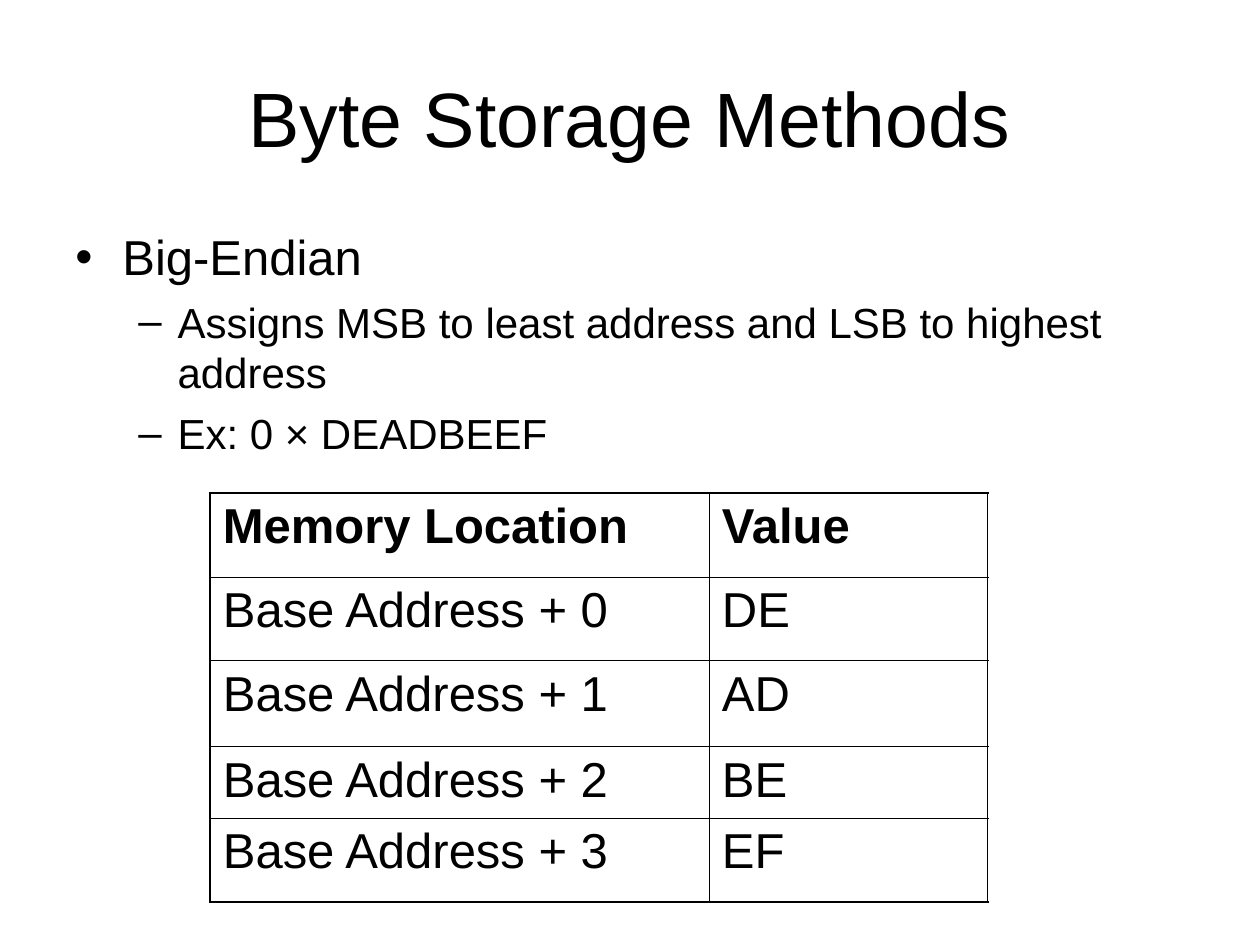
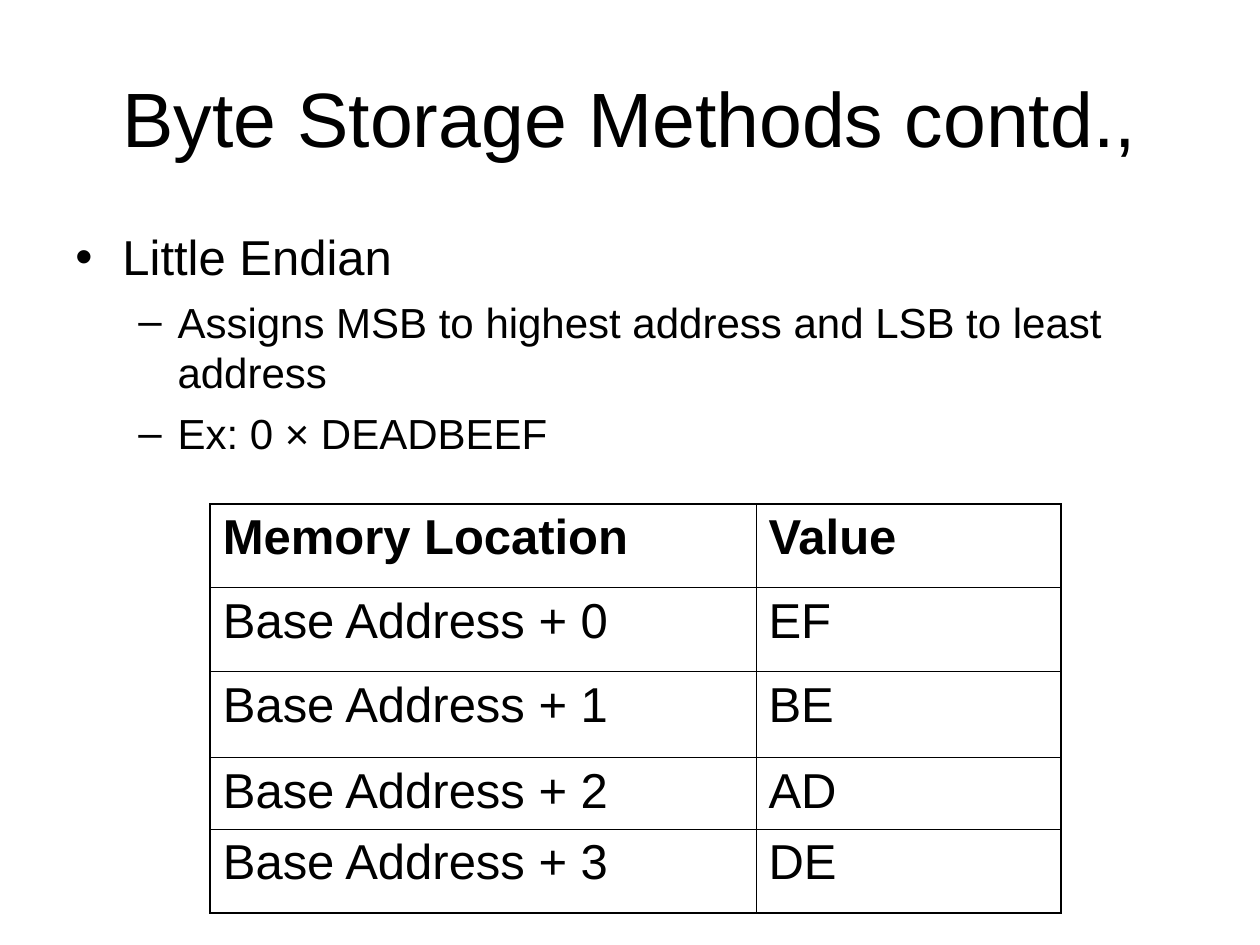
from lxml import etree
from pptx import Presentation
from pptx.dml.color import RGBColor
from pptx.enum.text import MSO_ANCHOR, PP_ALIGN
from pptx.oxml.ns import qn
from pptx.util import Cm, Pt

CENTER = PP_ALIGN.CENTER
MIDDLE = MSO_ANCHOR.MIDDLE

FONT = "Arial"
INK = "000000"
TITLE_SIZE = 44
TABLE_SIZE = 28
OUTER_LINE, INNER_LINE = 1.08, 0.45

# Lengths in centimetres
MARGIN, CONTENT_WIDTH = 1.27, 22.86
TITLE_TOP, TITLE_HEIGHT = 0.76, 3.18
BODY_TOP, BODY_HEIGHT = 4.45, 5.08
TABLE_LEFT = 4.24
ROW_HEIGHTS = [1.69, 1.69, 1.73, 1.44, 1.69]

LEVELS = [
    {"bullet": "•", "left": 0.95, "hanging": 0.95, "size": 28, "before": 0},
    {"bullet": "–", "left": 2.06, "hanging": 0.79, "size": 24, "before": 6},
]
HEADINGS = ("Memory Location", "Value")
EXAMPLE = "Ex: 0 × DEADBEEF"

BYTE_ORDERS = [
    {
        "title": "Byte Storage Methods",
        "points": [
            (0, "Big-Endian"),
            (1, "Assigns MSB to least address and LSB to highest address"),
            (1, EXAMPLE),
        ],
        "values": ["DE", "AD", "BE", "EF"],
        "table_top": 9.94,
        "column_widths": [10.06, 5.61],
    },
    {
        "title": "Byte Storage Methods contd.,",
        "points": [
            (0, "Little Endian"),
            (1, "Assigns MSB to highest address and LSB to least address"),
            (1, EXAMPLE),
        ],
        "values": ["EF", "BE", "AD", "DE"],
        "table_top": 10.16,
        "column_widths": [11, 6.15],
    },
]


def color(value):
    return RGBColor.from_string(value)


def add_run(paragraph, text, size, bold=False):
    run = paragraph.add_run()
    run.text = text
    run.font.name = FONT
    run.font.size = Pt(size)
    run.font.bold = bold
    run.font.color.rgb = color(INK)


def add_text_frame(slide, top, height):
    box = slide.shapes.add_textbox(
        Cm(MARGIN), Cm(top), Cm(CONTENT_WIDTH), Cm(height))
    box.text_frame.word_wrap = True
    return box.text_frame


def add_title(slide, text):
    frame = add_text_frame(slide, TITLE_TOP, TITLE_HEIGHT)
    frame.vertical_anchor = MIDDLE
    paragraph = frame.paragraphs[0]
    paragraph.alignment = CENTER
    add_run(paragraph, text, TITLE_SIZE)


def set_bullet(paragraph, level):
    properties = paragraph._p.get_or_add_pPr()
    properties.set("marL", str(Cm(level["left"])))
    properties.set("indent", str(-Cm(level["hanging"])))
    bullet_color = etree.SubElement(properties, qn("a:buClr"))
    etree.SubElement(bullet_color, qn("a:srgbClr"), val=INK)
    etree.SubElement(properties, qn("a:buFont"), typeface=FONT)
    etree.SubElement(properties, qn("a:buChar"), char=level["bullet"])


def add_points(slide, points):
    frame = add_text_frame(slide, BODY_TOP, BODY_HEIGHT)
    for index, (depth, text) in enumerate(points):
        paragraph = frame.add_paragraph() if index else frame.paragraphs[0]
        level = LEVELS[depth]
        paragraph.level = depth
        set_bullet(paragraph, level)
        if level["before"]:
            paragraph.space_before = Pt(level["before"])
        add_run(paragraph, text, level["size"])


def set_borders(cell, outer_sides):
    """Draw all four sides, heavier where the cell meets the table's edge."""
    properties = cell._tc.get_or_add_tcPr()
    for side, is_outer in outer_sides.items():
        width = Pt(OUTER_LINE if is_outer else INNER_LINE)
        line = etree.SubElement(properties, qn(f"a:ln{side}"), w=str(width))
        fill = etree.SubElement(line, qn("a:solidFill"))
        etree.SubElement(fill, qn("a:srgbClr"), val=INK)


def add_memory_table(slide, values, top, column_widths):
    rows = [HEADINGS] + [
        (f"Base Address + {offset}", value) for offset, value in enumerate(values)]
    last_row, last_column = len(rows) - 1, len(HEADINGS) - 1
    table = slide.shapes.add_table(
        len(rows), len(HEADINGS), Cm(TABLE_LEFT), Cm(top),
        Cm(sum(column_widths)), Cm(sum(ROW_HEIGHTS))).table
    table.first_row = False
    table.horz_banding = False
    for column, width in zip(table.columns, column_widths):
        column.width = Cm(width)
    for row, height in zip(table.rows, ROW_HEIGHTS):
        row.height = Cm(height)
    for r, texts in enumerate(rows):
        for c, text in enumerate(texts):
            cell = table.cell(r, c)
            set_borders(cell, {"L": c == 0, "R": c == last_column,
                               "T": r == 0, "B": r == last_row})
            cell.fill.background()
            add_run(cell.text_frame.paragraphs[0], text, TABLE_SIZE, bold=r == 0)


def main():
    presentation = Presentation()
    presentation.slide_width = Cm(25.4)
    presentation.slide_height = Cm(19.05)
    blank = presentation.slide_layouts[6]
    for order in BYTE_ORDERS:
        slide = presentation.slides.add_slide(blank)
        add_title(slide, order["title"])
        add_points(slide, order["points"])
        add_memory_table(slide, order["values"], order["table_top"],
                         order["column_widths"])
    presentation.save("out.pptx")


if __name__ == "__main__":
    main()
